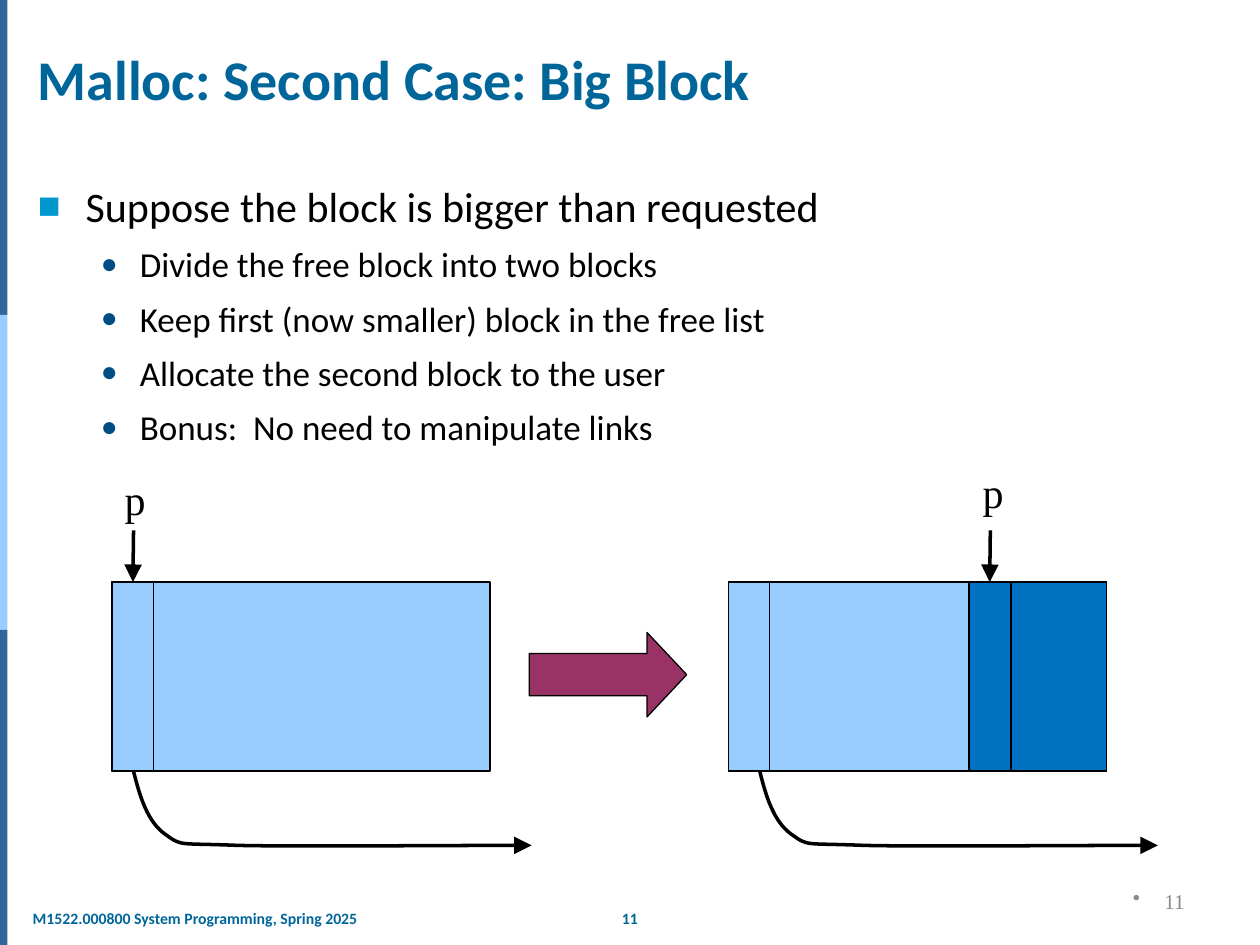
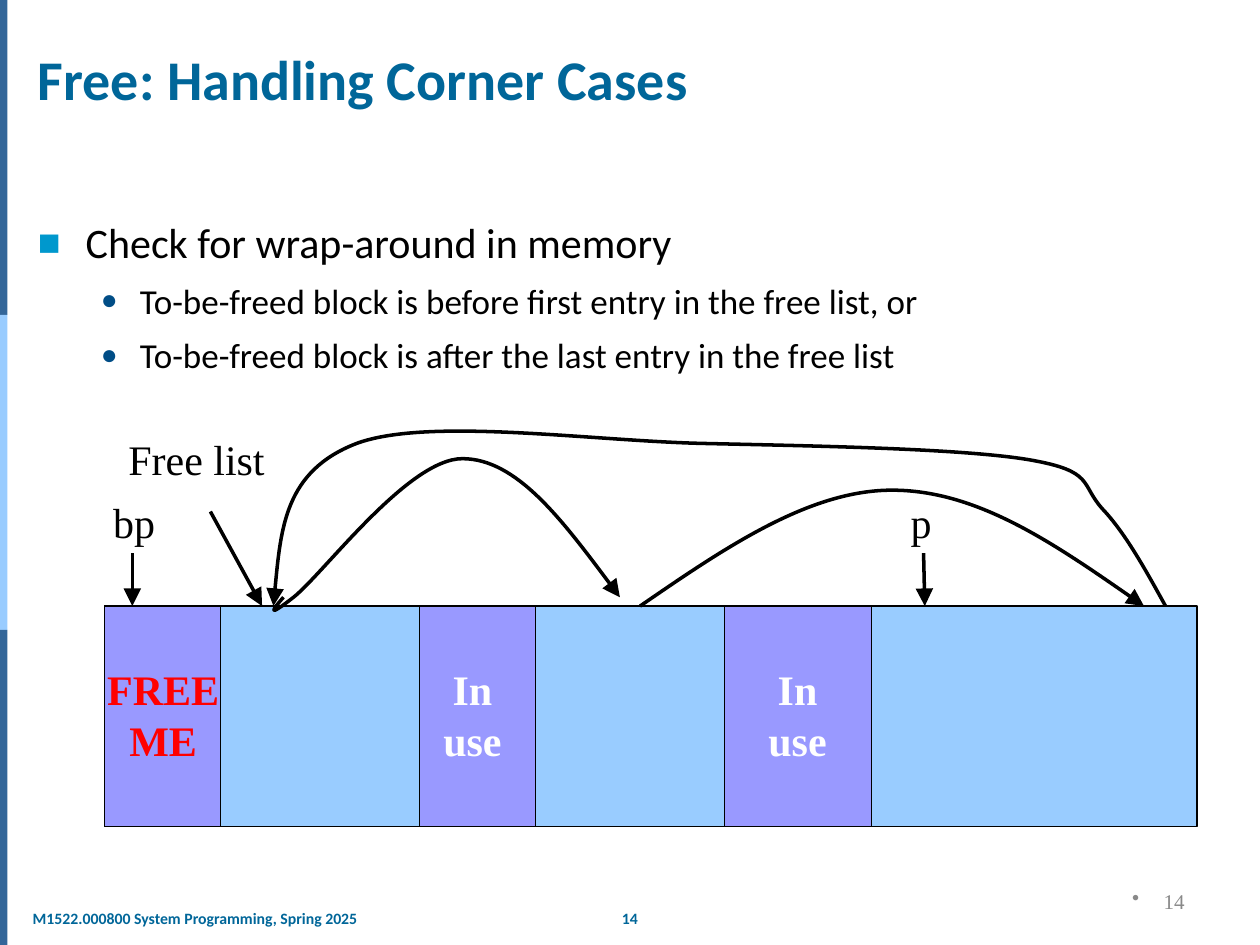
from dataclasses import dataclass

from lxml import etree
from pptx import Presentation
from pptx.dml.color import RGBColor
from pptx.enum.shapes import MSO_CONNECTOR, MSO_SHAPE
from pptx.enum.text import MSO_ANCHOR, PP_ALIGN
from pptx.oxml.ns import qn
from pptx.util import Inches, Pt

RECTANGLE, RIGHT_ARROW = MSO_SHAPE.RECTANGLE, MSO_SHAPE.RIGHT_ARROW
STRAIGHT = MSO_CONNECTOR.STRAIGHT
TOP, MIDDLE, BOTTOM = MSO_ANCHOR.TOP, MSO_ANCHOR.MIDDLE, MSO_ANCHOR.BOTTOM
LEFT, CENTER, RIGHT = PP_ALIGN.LEFT, PP_ALIGN.CENTER, PP_ALIGN.RIGHT
TOP_SIDE = 0


@dataclass(frozen=True)
class Theme:
    sans: str = "Calibri"
    serif: str = "Times New Roman"
    heading: str = "006699"
    band: str = "336699"
    free: str = "99CCFF"
    in_use: str = "9999FF"
    allocated: str = "0070C0"
    step: str = "993366"
    square: str = "0098CD"
    dot: str = "004D86"
    ink: str = "000000"
    paper: str = "FFFFFF"
    alert: str = "FF0000"
    muted: str = "898989"
    title_size: int = 32
    large_size: int = 24
    item_size: int = 20
    number_size: int = 12
    footer_size: int = 9
    outline: float = 0.75
    stroke: float = 2


THEME = Theme()
COURSE = "M1522.000800 System Programming, Spring 2025"
BULLETS = (
    {"char": "■", "color": THEME.square, "percent": 90, "indent": 0.38, "hang": 0.38},
    {"char": "●", "color": THEME.dot, "percent": 80, "indent": 0.81, "hang": 0.31},
)
NUMBER_BULLET = {"char": "•", "color": THEME.muted, "percent": 100,
                 "indent": 0.25, "hang": 0.25}
NEXT_LINK = [(0, 0), (0.05, 0.2), (0.11, 0.4), (0.25, 0.5), (0.39, 0.6),
             (0.34, 0.57), (0.83, 0.59), (1.32, 0.6), (2.24, 0.59), (3.16, 0.59)]


def apply_format(target, values):
    for name, value in values.items():
        setattr(target, name, value)


def look(size, color, face=THEME.serif, bold=False):
    return {"size": Pt(size), "name": face, "bold": bold, "color": color}


def write(paragraph, text, style, align=LEFT):
    paragraph.alignment = align
    run = paragraph.add_run()
    run.text = text
    apply_format(run.font, {k: v for k, v in style.items() if k != "color"})
    run.font.color.rgb = RGBColor.from_string(style["color"])


def add_bullet(paragraph, bullet):
    properties = paragraph._p.get_or_add_pPr()
    properties.set("marL", str(Inches(bullet["indent"])))
    properties.set("indent", str(-Inches(bullet["hang"])))
    color = etree.SubElement(properties, qn("a:buClr"))
    etree.SubElement(color, qn("a:srgbClr"), val=bullet["color"])
    etree.SubElement(properties, qn("a:buSzPct"), val=str(bullet["percent"] * 1000))
    etree.SubElement(properties, qn("a:buChar"), char=bullet["char"])


def place(shape, left, top, width, height):
    apply_format(shape, {"left": Inches(left), "top": Inches(top),
                         "width": Inches(width), "height": Inches(height)})


def add_label(slide, box, lines, style, align=LEFT, **frame_format):
    label = slide.shapes.add_textbox(*map(Inches, box))
    frame = label.text_frame
    apply_format(frame, {"word_wrap": False, **frame_format})
    for index, line in enumerate(lines):
        paragraph = frame.add_paragraph() if index else frame.paragraphs[0]
        write(paragraph, line, style, align)
    return label


def add_block(slide, box, fill, outlined=True, preset=RECTANGLE):
    block = slide.shapes.add_shape(preset, *map(Inches, box))
    block.shadow.inherit = False
    block.fill.solid()
    block.fill.fore_color.rgb = RGBColor.from_string(fill)
    if outlined:
        block.line.color.rgb = RGBColor.from_string(THEME.ink)
        block.line.width = Pt(THEME.outline)
    else:
        block.line.fill.background()
    return block


def finish_arrow(arrow):
    arrow.line.color.rgb = RGBColor.from_string(THEME.ink)
    arrow.line.width = Pt(THEME.stroke)
    properties = arrow.element.spPr
    etree.SubElement(properties.find(qn("a:ln")), qn("a:tailEnd"),
                     type="triangle", w="lg", len="lg")
    etree.SubElement(properties, qn("a:effectLst"))


def add_pointer(slide, start, end, block=None):
    pointer = slide.shapes.add_connector(STRAIGHT, *map(Inches, start + end))
    if block is not None:
        pointer.end_connect(block, TOP_SIDE)
    finish_arrow(pointer)


def add_curve(slide, points, origin=(0, 0)):
    start, *controls = [(Inches(origin[0] + x), Inches(origin[1] + y))
                        for x, y in points]
    builder = slide.shapes.build_freeform(*start)
    builder.add_line_segments(controls, close=False)
    curve = builder.convert_to_shape()
    curve.fill.background()
    outline = next(curve.element.iter(qn("a:path")))
    segments = outline.findall(qn("a:lnTo"))
    for first in range(0, len(segments), 3):
        bezier = etree.SubElement(outline, qn("a:cubicBezTo"))
        for segment in segments[first:first + 3]:
            bezier.append(segment[0])
            outline.remove(segment)
    finish_arrow(curve)


def add_page(deck, number, title, items, body_box):
    slide = deck.slides.add_slide(deck.slide_layouts[1])
    for index, color in enumerate((THEME.band, THEME.free, THEME.band)):
        add_block(slide, (0, index * 2.5, 0.06, 2.5), color, outlined=False)

    footer = look(THEME.footer_size, THEME.heading, THEME.sans, True)
    add_label(slide, (4.82, 7.16, 0.36, 0.25), [str(number)], footer, CENTER)
    add_label(slide, (0.2, 7.16, 2.72, 0.25), [COURSE], footer,
              margin_left=Inches(0.06), margin_right=Inches(0.06))

    heading = slide.shapes.title
    place(heading, 0.2, 0.31, 9.65, 0.63)
    heading.text_frame.vertical_anchor = BOTTOM
    write(heading.text_frame.paragraphs[0], title,
          look(THEME.title_size, THEME.heading, THEME.sans, True))

    body = slide.placeholders[1]
    place(body, *body_box)
    frame = body.text_frame
    frame.vertical_anchor = TOP
    for index, item in enumerate(items):
        level = min(index, 1)
        paragraph = frame.add_paragraph() if index else frame.paragraphs[0]
        apply_format(paragraph, {"level": level, "space_before": Pt(7 * level)})
        size = THEME.item_size if level else THEME.large_size
        write(paragraph, item, look(size, THEME.ink, THEME.sans))
        add_bullet(paragraph, BULLETS[level])

    page_number = add_label(slide, (7.17, 6.95, 2.33, 0.4), [str(number)],
                            look(THEME.number_size, THEME.muted), RIGHT,
                            word_wrap=True, vertical_anchor=MIDDLE)
    add_bullet(page_number.text_frame.paragraphs[0], NUMBER_BULLET)
    return slide


def draw_split(slide):
    top, height, header = 4.62, 1.5, 0.33
    name = look(THEME.large_size, THEME.ink)
    headers = []
    for left in (0.89, 5.78):
        add_block(slide, (left, top, 3, height), THEME.free)
        headers.append(add_block(slide, (left, top, header, height), THEME.free))
    headers.append(add_block(slide, (7.69, top, header, height), THEME.allocated))
    add_block(slide, (8.03, top, 0.75, height), THEME.allocated)

    for x, block in ((1.06, headers[0]), (7.86, headers[2])):
        add_pointer(slide, (x, 4.21), (x, top), block)
    for left, label_top in ((0.89, 3.71), (7.7, 3.65)):
        add_label(slide, (left, label_top, 0.37, 0.5), ["p"], name)
    for x in (1.06, 6.03):
        add_curve(slide, NEXT_LINK, (x, top + height))

    step = add_block(slide, (4.2, 5.02, 1.25, 0.67), THEME.step, preset=RIGHT_ARROW)
    step.adjustments[0], step.adjustments[1] = 0.5, 0.47


def draw_wraparound(slide):
    top, height = 4.81, 1.75
    name = look(THEME.large_size, THEME.ink)
    for left, width, fill in (
        (0.83, 8.67, THEME.free),
        (0.83, 0.92, THEME.in_use),
        (3.33, 0.92, THEME.in_use),
        (4.25, 1.5, THEME.free),
        (5.75, 1.17, THEME.in_use),
    ):
        add_block(slide, (left, top, width, height), fill)

    for left, width, lines, color in (
        (6, 0.66, ("In", "use"), THEME.paper),
        (0.75, 1.09, ("FREE", "ME"), THEME.alert),
        (3.42, 0.66, ("In", "use"), THEME.paper),
    ):
        add_label(slide, (left, 5.22, width, 0.9), lines,
                  look(THEME.large_size, color, bold=True), CENTER)

    for left, label_top, width, text in (
        (0.92, 3.39, 1.28, "Free list"),
        (0.8, 3.89, 0.53, "bp"),
        (7.13, 3.89, 0.37, "p"),
    ):
        add_label(slide, (left, label_top, width, 0.5), [text], name)

    for start, end_x in (((1.67, 4.06), 2.08), ((1.05, 4.39), 1.05),
                         ((7.33, 4.39), 7.34)):
        add_pointer(slide, start, (end_x, top))

    first_link = [(2.25, 4.74), (2.17, 4.83), (2.1, 4.92), (2.33, 4.74),
                  (2.57, 4.55), (3.24, 3.64), (3.67, 3.64),
                  (4.1, 3.64), (4.51, 4.19), (4.92, 4.74)]
    second_link = [(5.08, top), (5.75, 4.35), (6.42, 3.89), (7.08, 3.89),
                   (7.75, 3.89), (8.42, 4.35), (9.08, top)]
    wrap_link = [(9.25, top), (9.09, 4.52), (8.93, 4.23), (8.75, 4.04),
                 (8.57, 3.84), (8.69, 3.74), (8.17, 3.65),
                 (7.64, 3.56), (6.47, 3.54), (5.58, 3.52),
                 (4.69, 3.5), (3.4, 3.31), (2.83, 3.52),
                 (2.26, 3.74), (2.22, 4.27), (2.17, top)]
    for link in (first_link, second_link, wrap_link):
        add_curve(slide, link)


def main():
    deck = Presentation()
    deck.slide_width, deck.slide_height = Inches(10), Inches(7.5)
    draw_split(add_page(deck, 11, "Malloc: Second Case: Big Block", [
        "Suppose the block is bigger than requested",
        "Divide the free block into two blocks",
        "Keep first (now smaller) block in the free list",
        "Allocate the second block to the user",
        "Bonus:  No need to manipulate links",
    ], (0.2, 1.38, 9.65, 5.71)))
    draw_wraparound(add_page(deck, 14, "Free: Handling Corner Cases", [
        "Check for wrap-around in memory",
        "To-be-freed block is before first entry in the free list, or",
        "To-be-freed block is after the last entry in the free list",
    ], (0.2, 1.67, 9.3, 2.17)))
    deck.save("out.pptx")


if __name__ == "__main__":
    main()
